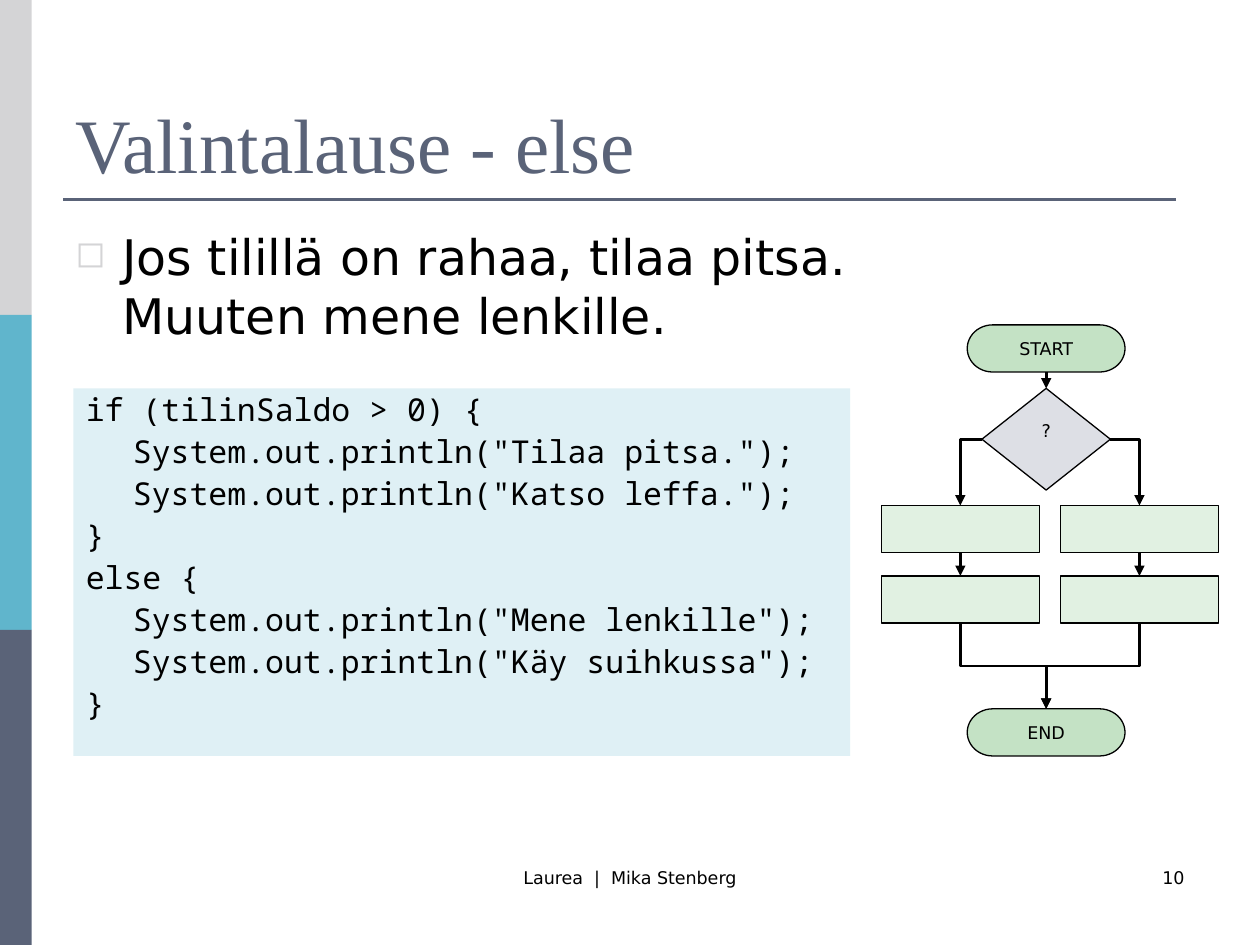
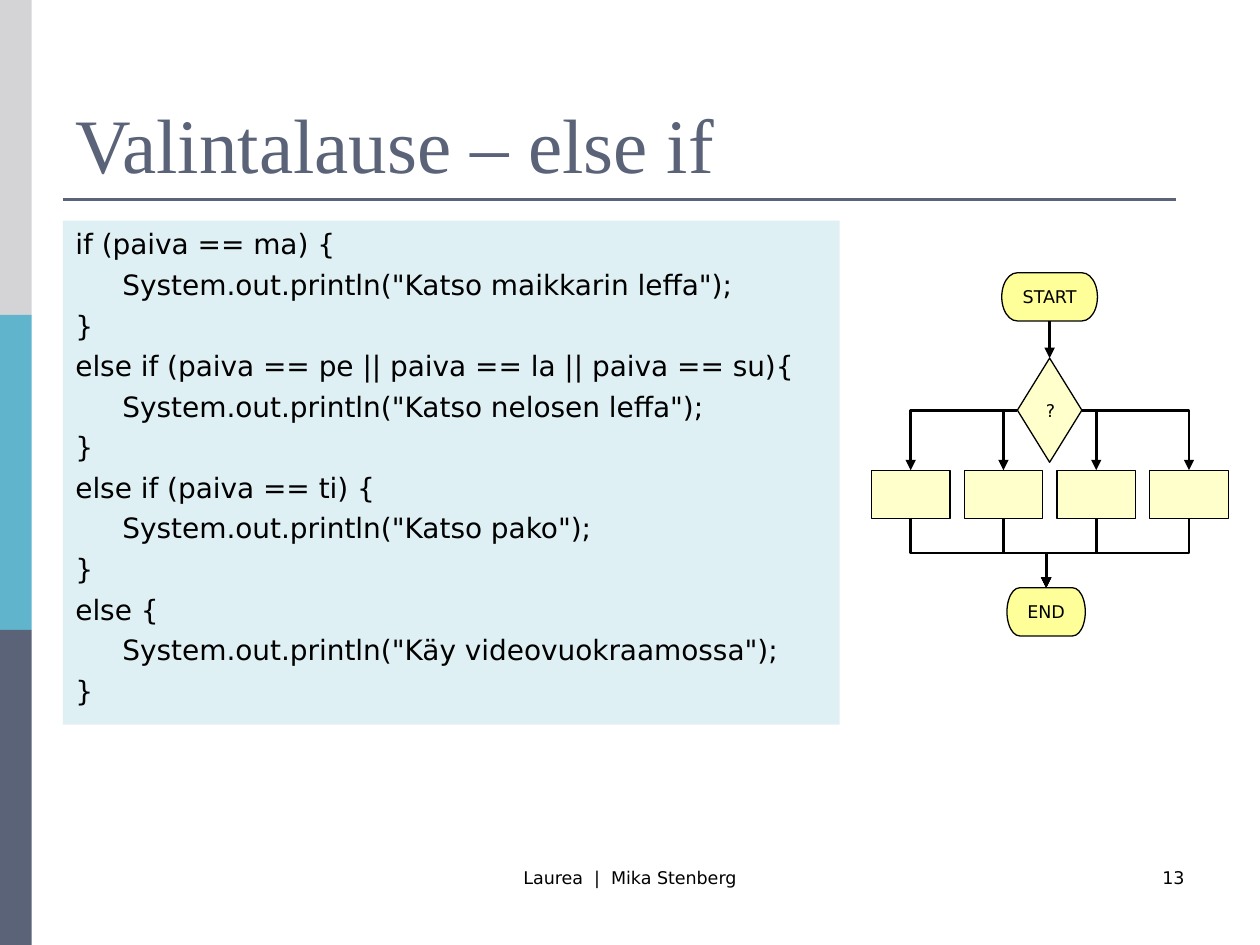
import pptx
import pptx.util
from pptx.dml.color import RGBColor
from pptx.enum.shapes import MSO_CONNECTOR, MSO_SHAPE
from pptx.enum.text import MSO_ANCHOR, PP_ALIGN
from pptx.oxml import parse_xml
from pptx.oxml.ns import nsdecls, qn

Cm, Pt = pptx.util.Cm, pptx.util.Pt

BLACK = RGBColor(0x00, 0x00, 0x00)
GREY = RGBColor(0xD4, 0xD4, 0xD6)
TEAL = RGBColor(0x60, 0xB5, 0xCC)
SLATE = RGBColor(0x5A, 0x63, 0x78)
CODE_FILL = RGBColor(0xDF, 0xF0, 0xF5)
GREEN = RGBColor(0xC4, 0xE2, 0xC5)
PALE_GREEN = RGBColor(0xE1, 0xF1, 0xE2)
PALE_SLATE = RGBColor(0xDD, 0xDF, 0xE5)
YELLOW = RGBColor(0xFF, 0xFF, 0x99)
PALE_YELLOW = RGBColor(0xFF, 0xFF, 0xCC)

SANS, MONO, SERIF = "DejaVu Sans", "Noto Sans Mono", "Times New Roman"
FOOTER = "Laurea  |  Mika Stenberg"
HANG = 0.95  # hanging indent of bullets and code, cm

# Boxes are (left, top, width, height); all lengths in cm.
SLIDES = [
    {
        "title": "Valintalause - else",
        "number": "10",
        "bullet": "Jos tilillä on rahaa, tilaa pitsa.\nMuuten mene lenkille.",
        "code": [
            "if (tilinSaldo > 0) {",
            '\tSystem.out.println("Tilaa pitsa.");',
            '\tSystem.out.println("Katso leffa.");',
            "}",
            "else {",
            '\tSystem.out.println("Mene lenkille");',
            '\tSystem.out.println("Käy suihkussa");',
            "}",
        ],
        "code_box": (1.48, 7.83, 15.66, 7.41),
        "code_style": {"font": MONO, "size": 18, "before": 4.5, "spacing": 0.9},
        "flow": {
            "start": (21.09, 6.55, 3.18, 0.95),  # centre x, top, width, height
            "test": (21.09, 7.83, 2.59, 2.05),
            "end": (21.09, 14.29, 3.18, 0.95),
            "step": (3.18, 0.95),
            "first_x": 19.36, "pitch": 3.61, "columns": 2,
            "row_tops": [10.19, 11.61],
            "fills": (GREEN, PALE_SLATE, PALE_GREEN),
            "anchor": MSO_ANCHOR.TOP,
        },
    },
    {
        "title": "Valintalause – else if",
        "number": "13",
        "code": [
            "if (paiva == ma) {",
            '\tSystem.out.println("Katso maikkarin leffa");',
            "}",
            "else if (paiva == pe || paiva == la || paiva == su){",
            '\tSystem.out.println("Katso nelosen leffa");',
            "}",
            "else if (paiva == ti) {",
            '\tSystem.out.println("Katso pako");',
            "}",
            "else {",
            '\tSystem.out.println("Käy videovuokraamossa");',
            "}",
        ],
        "code_box": (1.27, 4.45, 15.66, 10.16),
        "code_style": {"font": SANS, "size": 16, "before": 4, "spacing": None},
        "flow": {
            "start": (21.16, 5.5, 1.93, 0.97),
            "test": (21.16, 7.22, 1.3, 2.1),
            "end": (21.09, 11.85, 1.58, 0.97),
            "step": (1.58, 0.97),
            "first_x": 18.36, "pitch": 1.87, "columns": 4,
            "row_tops": [9.48],
            "fills": (YELLOW, PALE_YELLOW, PALE_YELLOW),
            "anchor": MSO_ANCHOR.MIDDLE,
        },
    },
]


def add_box(s, kind, box, fill, line=None):
    sp = s.shapes.add_shape(kind, *map(Cm, box))
    sp.shadow.inherit = False
    sp.fill.solid()
    sp.fill.fore_color.rgb = fill
    if line is None:
        sp.line.fill.background()
    else:
        sp.line.color.rgb = line
        sp.line.width = Pt(0.75)
    return sp


def write(sp, lines, font, size, color=BLACK, align=PP_ALIGN.LEFT,
          anchor=MSO_ANCHOR.TOP, before=0, spacing=None, hang=0):
    tf = sp.text_frame
    tf.word_wrap = True
    tf.vertical_anchor = anchor
    for i, line in enumerate(lines):
        p = tf.add_paragraph() if i else tf.paragraphs[0]
        p.text = line
        p.alignment = align
        p.line_spacing = spacing
        p.space_before = Pt(before if i else 0)
        if hang:
            pPr = p._p.get_or_add_pPr()
            pPr.set("marL", str(Cm(hang)))
            pPr.set("indent", str(-Cm(hang)))
        for r in p.runs:
            r.font.name = font
            r.font.size = Pt(size)
            r.font.color.rgb = color


def add_text(s, box, text, font, size, **style):
    sp = s.shapes.add_textbox(*map(Cm, box))
    write(sp, [text], font, size, **style)
    return sp


def add_line(s, kind, x1, y1, x2, y2, color=BLACK, arrow=True):
    c = s.shapes.add_connector(kind, Cm(x1), Cm(y1), Cm(x2), Cm(y2))
    c.line.color.rgb = color
    c.line.width = Pt(1.5)
    if arrow:
        c.line._get_or_add_ln().append(
            parse_xml(f'<a:tailEnd {nsdecls("a")} type="triangle"/>'))
    c._element.spPr.append(parse_xml(f'<a:effectLst {nsdecls("a")}/>'))
    return c


def join_down(s, upper, lower):
    c = add_line(s, MSO_CONNECTOR.STRAIGHT, 0, 0, 1, 1)
    c.begin_connect(upper, 2)
    c.end_connect(lower, 0)


def branch(s, x1, y1, x2, y2):
    """Arrow that runs sideways, then down."""
    c = add_line(s, MSO_CONNECTOR.ELBOW, x1, y1, x2, y2)
    c._element.spPr.find(qn("a:prstGeom")).set("prst", "bentConnector2")


def merge(s, x1, y1, x2, y2):
    """Arrow that runs down, sideways, then down: an elbow turned a quarter."""
    mid_x, mid_y = (x1 + x2) / 2, (y1 + y2) / 2
    half_w, half_h = (y2 - y1) / 2, abs(x2 - x1) / 2
    side, turn = (1, 90) if x2 < x1 else (-1, 270)
    c = add_line(s, MSO_CONNECTOR.ELBOW, mid_x - side * half_w, mid_y - half_h,
                 mid_x + side * half_w, mid_y + half_h)
    c._element.spPr.find(qn("a:xfrm")).set("rot", str(turn * 60000))


def add_frame(s, title, number):
    for i, color in enumerate([GREY, TEAL, SLATE]):
        add_box(s, MSO_SHAPE.RECTANGLE, (0, i * 6.35, 0.64, 6.35), color)
    add_line(s, MSO_CONNECTOR.STRAIGHT, 1.27, 4.02, 23.71, 4.02, SLATE, arrow=False)
    add_text(s, (8.68, 17.36, 8.04, 1.27), FOOTER, SANS, 10, align=PP_ALIGN.CENTER)
    add_text(s, (18.2, 17.36, 5.93, 1.27), number, SANS, 10, align=PP_ALIGN.RIGHT)
    add_text(s, (1.27, 0.76, 22.86, 3.18), title, SERIF, 44, color=SLATE,
             anchor=MSO_ANCHOR.BOTTOM)


def add_bullet(s, text):
    sp = add_text(s, (1.27, 4.45, 22.86, 2.75), text, SANS, 28, hang=HANG)
    pPr = sp.text_frame.paragraphs[0]._p.get_or_add_pPr()
    for xml in (f'<a:buClr {nsdecls("a")}><a:srgbClr val="{GREY}"/></a:buClr>',
                f'<a:buSzPct {nsdecls("a")} val="75000"/>',
                f'<a:buChar {nsdecls("a")} char="◻"/>'):
        pPr.append(parse_xml(xml))


def add_code(s, lines, box, style):
    sp = add_box(s, MSO_SHAPE.RECTANGLE, box, CODE_FILL)
    write(sp, lines, hang=HANG, **style)


def add_flow(s, flow):
    end_fill, test_fill, step_fill = flow["fills"]

    def node(kind, place, fill, label=None):
        x, top, w, h = place
        sp = add_box(s, kind, (x - w / 2, top, w, h), fill, BLACK)
        if label:
            write(sp, [label], SANS, 10, align=PP_ALIGN.CENTER, anchor=flow["anchor"])
        return sp

    start = node(MSO_SHAPE.FLOWCHART_TERMINATOR, flow["start"], end_fill, "START")
    node(MSO_SHAPE.FLOWCHART_TERMINATOR, flow["end"], end_fill, "END")
    test = node(MSO_SHAPE.FLOWCHART_DECISION, flow["test"], test_fill, "?")
    join_down(s, start, test)

    test_x, test_top, test_w, test_h = flow["test"]
    end_x, end_top = flow["end"][:2]
    step_w, step_h = flow["step"]
    tops = flow["row_tops"]
    for i in range(flow["columns"]):
        x = flow["first_x"] + i * flow["pitch"]
        steps = [node(MSO_SHAPE.FLOWCHART_PROCESS, (x, top, step_w, step_h), step_fill)
                 for top in tops]
        for upper, lower in zip(steps, steps[1:]):
            join_down(s, upper, lower)
        side = -1 if x < test_x else 1
        branch(s, test_x + side * test_w / 2, test_top + test_h / 2, x, tops[0])
        merge(s, x, tops[-1] + step_h, end_x, end_top)


def main():
    prs = pptx.Presentation()
    prs.slide_width, prs.slide_height = Cm(25.4), Cm(19.05)
    for content in SLIDES:
        s = prs.slides.add_slide(prs.slide_layouts[6])
        add_frame(s, content["title"], content["number"])
        if "bullet" in content:
            add_bullet(s, content["bullet"])
        add_code(s, content["code"], content["code_box"], content["code_style"])
        add_flow(s, content["flow"])
    prs.save("out.pptx")


if __name__ == "__main__":
    main()
